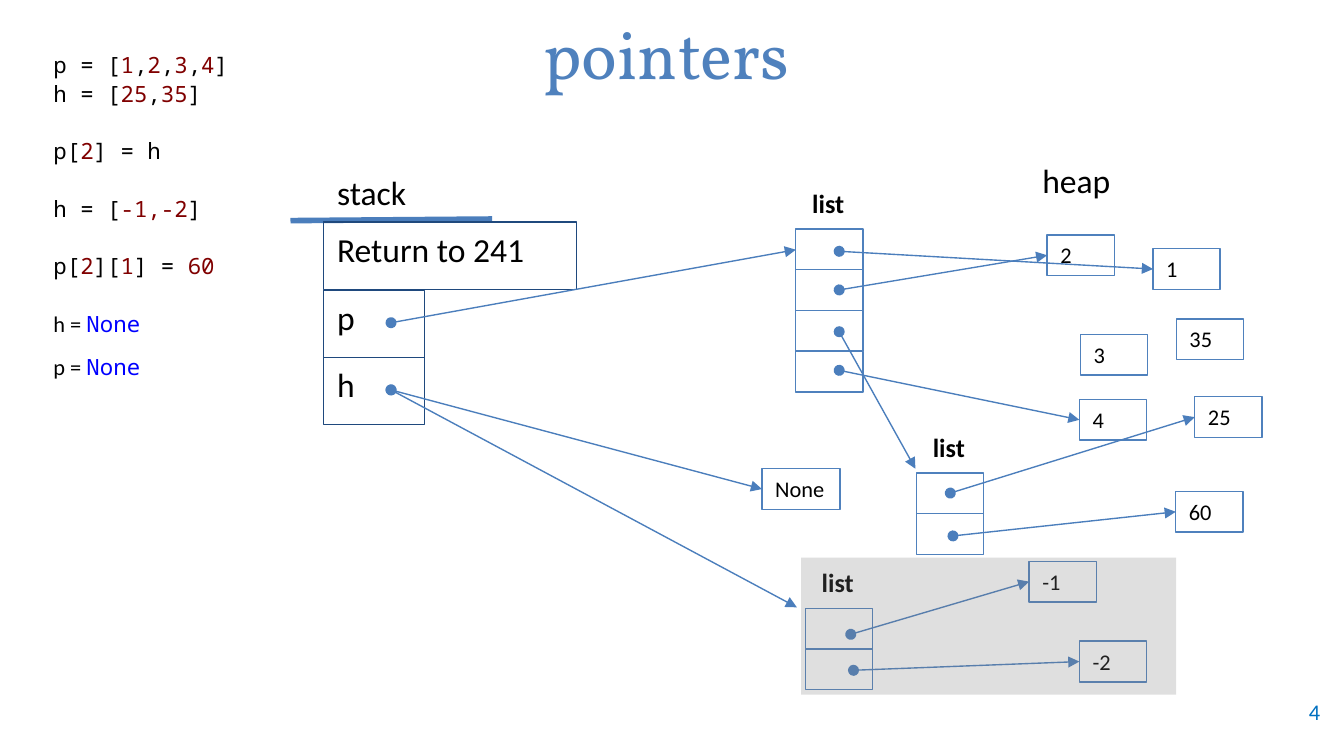
"""Build a slide showing how pointers link the stack to lists on the heap."""
from dataclasses import dataclass

from lxml import etree
from pptx import Presentation
from pptx.dml.color import RGBColor
from pptx.enum.shapes import MSO_CONNECTOR, MSO_SHAPE
from pptx.enum.text import MSO_ANCHOR, PP_ALIGN
from pptx.oxml.ns import qn
from pptx.util import Cm, Pt

RECTANGLE = MSO_SHAPE.RECTANGLE
STRAIGHT = MSO_CONNECTOR.STRAIGHT
LEFT, CENTER, RIGHT = PP_ALIGN.LEFT, PP_ALIGN.CENTER, PP_ALIGN.RIGHT
TOP, MIDDLE = MSO_ANCHOR.TOP, MSO_ANCHOR.MIDDLE


@dataclass(frozen=True)
class Theme:
    body_font: str = "Calibri"
    code_font: str = "Noto Sans Mono"
    title_font: str = "Vollkorn"
    title_size: Pt = Pt(36)
    large: Pt = Pt(18)
    medium: Pt = Pt(14)
    small: Pt = Pt(12)
    thin: Pt = Pt(0.75)
    thick: Pt = Pt(3)
    ink: RGBColor = RGBColor(0x00, 0x00, 0x00)
    accent: RGBColor = RGBColor(0x4F, 0x81, 0xBD)
    pointer: RGBColor = RGBColor(0x4B, 0x7E, 0xBC)
    frame: RGBColor = RGBColor(0x1F, 0x49, 0x7D)
    shade: RGBColor = RGBColor(0x80, 0x80, 0x80)
    number: RGBColor = RGBColor(0x80, 0x00, 0x00)
    keyword: RGBColor = RGBColor(0x00, 0x00, 0xFF)
    page_number: RGBColor = RGBColor(0x00, 0x70, 0xC0)


theme = Theme()
deck = Presentation()
deck.slide_width, deck.slide_height = Cm(25.4), Cm(14.29)
page = deck.slides.add_slide(deck.slide_layouts[5])


def add_box(left, top, width, height, text="", size=theme.small, outline=None):
    area = Cm(left), Cm(top), Cm(width), Cm(height)
    if outline is None:
        box = page.shapes.add_textbox(*area)
    else:
        box = page.shapes.add_shape(RECTANGLE, *area)
        box.shadow.inherit = False
        box.fill.background()
        box.line.color.rgb = outline
        box.line.width = theme.thin
    frame = box.text_frame
    frame.word_wrap = True
    frame.vertical_anchor = TOP
    para = frame.paragraphs[0]
    para.alignment = LEFT
    if text:
        para.text = text
        para.font.name = theme.body_font
        para.font.size = size
        para.font.color.rgb = theme.ink
    return box


def add_line(start_x, start_y, end_x, end_y, width, ends=()):
    line = page.shapes.add_connector(
        STRAIGHT, Cm(start_x), Cm(start_y), Cm(end_x), Cm(end_y))
    line.line.color.rgb = theme.pointer
    line.line.width = width
    properties = line.element.spPr
    outline = properties.find(qn("a:ln"))
    for tag, kind in ends:
        etree.SubElement(outline, qn(tag), type=kind)
    etree.SubElement(properties, qn("a:effectLst"))


title = page.shapes.title
title.left, title.top, title.width, title.height = Cm(0), Cm(0.15), Cm(25.2), Cm(1.7)
title.text_frame.text = "pointers"
title.text_frame.vertical_anchor = MIDDLE
para = title.text_frame.paragraphs[0]
para.alignment = CENTER
para.font.name = theme.title_font
para.font.size = theme.title_size
para.font.color.rgb = theme.accent

number_box = add_box(23.5, 13.08, 1.7, 0.76, "4")
number_box.text_frame.vertical_anchor = MIDDLE
para = number_box.text_frame.paragraphs[0]
para.alignment = RIGHT
para.font.color.rgb = theme.page_number

code_lines = [
    ("p = [|1|,|2|,|3|,|4|]", 0),
    ("h = [|25|,|35|]", 0),
    ("p[|2|] = h", 15.4),
    ("h = [|-1,-2|]", 15.4),
    ("p[|2|][|1|] = |60", 15.4),
    ("h = |None", 15.4),
    ("p = |None", 8),
]
code = add_box(0.76, 0.81, 4.45, 8.23).text_frame
for index, (source, gap) in enumerate(code_lines):
    para = code.add_paragraph() if index else code.paragraphs[0]
    para.line_spacing = 1.07
    if gap:
        para.space_before = Pt(gap)
    para.font.size = theme.small
    clears = source.endswith("None")
    for position, piece in enumerate(source.split("|")):
        span = para.add_run()
        span.text = piece
        marked = position % 2 == 1
        span.font.name = theme.body_font if clears and not marked else theme.code_font
        highlight = theme.keyword if clears else theme.number
        span.font.color.rgb = highlight if marked else theme.ink

add_box(6.12, 3.12, 3.81, 1.02, "stack", theme.large)
add_box(19.45, 2.9, 3.81, 1.02, "heap", theme.large)
add_line(5.49, 4.17, 9.3, 4.14, theme.thick)
stack_frames = [("Return to 241", 4.2, 4.78), ("p", 5.49, 1.9), ("h", 6.76, 1.9)]
for text, top, width in stack_frames:
    add_box(6.12, top, width, 1.27, text, theme.large, theme.frame)

cell_width, cell_height = 1.27, 0.77
lists = [(15.04, 4.33, 4), (17.32, 8.94, 2), (15.22, 11.5, 2)]
for left, top, count in lists:
    label = add_box(left + 0.06, top - 0.91, cell_width, 0.86, "list", theme.medium)
    label.text_frame.paragraphs[0].font.bold = True
    for row in range(count):
        add_box(left, top + row * cell_height, cell_width, cell_height,
                outline=theme.accent)

heap_values = {
    "1": (21.79, 4.7), "2": (19.79, 4.44), "3": (20.42, 6.32), "4": (20.4, 7.55),
    "25": (22.58, 7.5), "35": (22.23, 6.03), "60": (22.22, 9.29),
    "-1": (19.45, 10.61), "-2": (20.4, 12.12), "None": (14.4, 8.86),
}
for text, (left, top) in heap_values.items():
    width = 1.48 if text == "None" else cell_width
    add_box(left, top, width, cell_height, text, outline=theme.accent)

value_pointers = [
    (15.86, 4.75, "1"), (15.86, 5.48, "2"), (15.86, 7, "4"),
    (17.96, 9.32, "25"), (18.01, 10.13, "60"),
    (16.08, 11.99, "-1"), (16.13, 12.67, "-2"), (7.39, 7.37, "None"),
]
pointers = [
    (7.39, 6.1, 15.04, 4.72),
    (15.86, 6.27, 17.3, 8.86),
    (7.39, 7.37, 15.06, 11.48),
]
for start_x, start_y, target in value_pointers:
    left, top = heap_values[target]
    pointers.append((start_x, start_y, left, top + cell_height / 2))
for ends in pointers:
    add_line(*ends, theme.thin, [("a:headEnd", "oval"), ("a:tailEnd", "triangle")])

unreachable = add_box(15.14, 10.54, 7.09, 2.59, outline=theme.shade)
unreachable.line.fill.background()
unreachable.fill.solid()
unreachable.fill.fore_color.rgb = theme.shade
shade_color = unreachable.element.spPr.find(qn("a:solidFill"))[0]
etree.SubElement(shade_color, qn("a:alpha"), val="25000")

deck.save("out.pptx")
